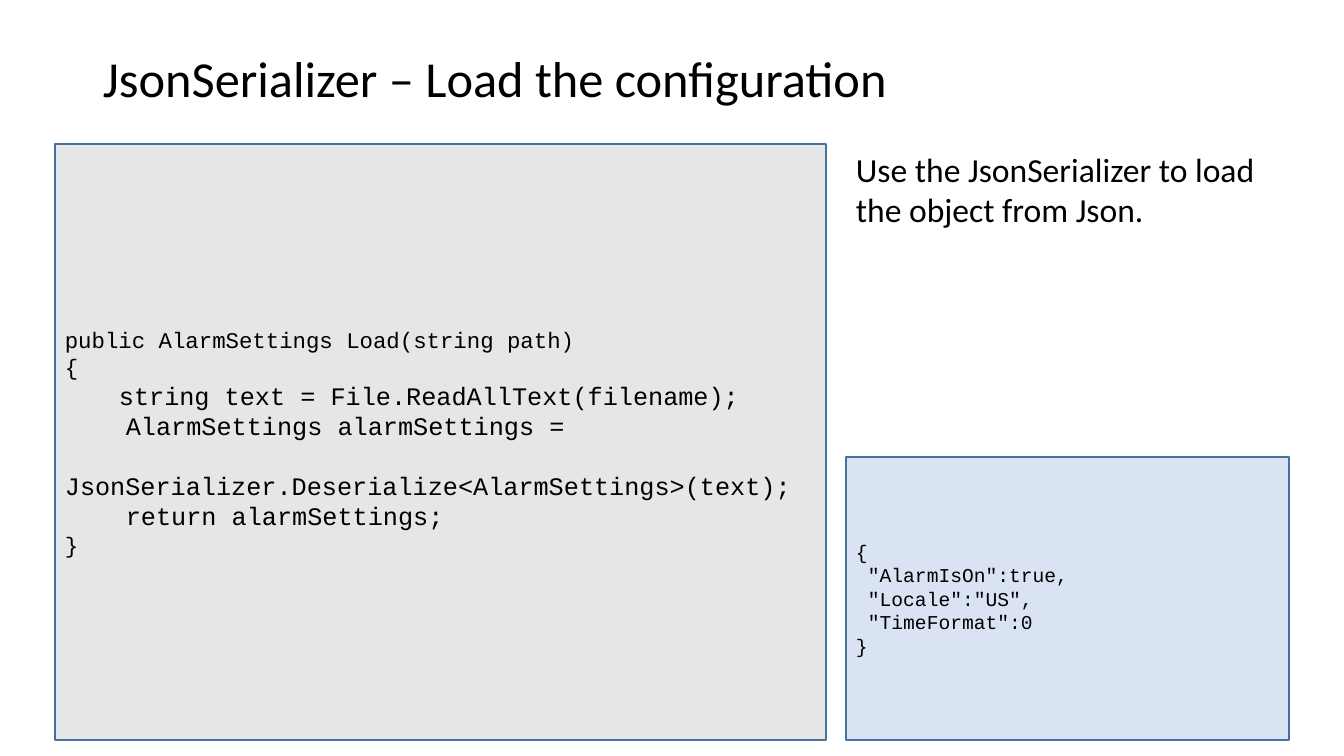
from pptx import Presentation
from pptx import util as u
from pptx.dml.color import RGBColor
from pptx.enum import shapes, text

TITLE = [("JsonSerializer – Load the configuration", 36, 0, 0)]
NOTE = [("Use the JsonSerializer to load the object from Json.", 24, 0, 0)]
CODE = [
    ("public AlarmSettings Load(string path)", 16, 0, 0),
    ("{", 16, 0, 0),
    ("string text = File.ReadAllText(filename);", 18, 54, 0),
    ("AlarmSettings alarmSettings =", 18, 61, 0),
    ("JsonSerializer.Deserialize<AlarmSettings>(text);", 18, 0, 30),
    ("return alarmSettings;", 18, 61, 0),
    ("}", 16, 0, 0),
]
JSON = [
    ("{", 14, 0, 0),
    ('"AlarmIsOn":true,', 14, 12, 0),
    ('"Locale":"US",', 14, 12, 0),
    ('"TimeFormat":0', 14, 12, 0),
    ("}", 14, 0, 0),
]

THEME = {
    "ink": "000000",
    "code": "E7E6E6",
    "json": "DAE3F3",
    "edge": "43739E",
    "body_font": "Calibri",
    "code_font": "Courier New",
}
PX = 914400 / 100.8
TOP, BOTTOM = 144, 740
SIDE_X, SIDE_W = 846, 443
JSON_Y = 457


def px(n):
    return u.Emu(round(n * PX))


def color(name):
    return RGBColor.from_string(THEME[name])


def apply(obj, values):
    for name, value in values.items():
        setattr(obj, name, value)


def write(sp, lines, font, anchor, spacing=1.0):
    tf = sp.text_frame
    apply(tf, {"word_wrap": True, "vertical_anchor": anchor})
    for i, (line, size, indent, before) in enumerate(lines):
        p = tf.paragraphs[0] if i == 0 else tf.add_paragraph()
        apply(p, {"alignment": text.PP_ALIGN.LEFT, "line_spacing": spacing,
                  "space_before": px(before)})
        if indent:
            p._p.get_or_add_pPr().set("marL", str(px(indent)))
        r = p.add_run()
        r.text = line
        apply(r.font, {"name": THEME[font], "size": u.Pt(size)})
        r.font.color.rgb = color("ink")


def add_label(s, box, lines, anchor, spacing=1.0):
    sp = s.shapes.add_textbox(*map(px, box))
    write(sp, lines, "body_font", anchor, spacing)


def add_panel(s, box, lines, fill):
    sp = s.shapes.add_shape(shapes.MSO_SHAPE.RECTANGLE, *map(px, box))
    sp.shadow.inherit = False
    sp.fill.solid()
    sp.fill.fore_color.rgb = color(fill)
    sp.line.color.rgb = color("edge")
    sp.line.width = u.Pt(1)
    write(sp, lines, "code_font", text.MSO_ANCHOR.MIDDLE)


def main():
    prs = Presentation()
    apply(prs, {"slide_width": px(1344), "slide_height": px(756)})
    s = prs.slides.add_slide(prs.slide_layouts[6])
    add_label(s, (93, 40, 1159, 82), TITLE, text.MSO_ANCHOR.MIDDLE, 0.9)
    add_panel(s, (55, TOP, 771, BOTTOM - TOP), CODE, "code")
    add_panel(s, (SIDE_X, JSON_Y, SIDE_W, BOTTOM - JSON_Y), JSON, "json")
    add_label(s, (SIDE_X, TOP, SIDE_W, 296), NOTE, text.MSO_ANCHOR.TOP)
    prs.save("out.pptx")


if __name__ == "__main__":
    main()
